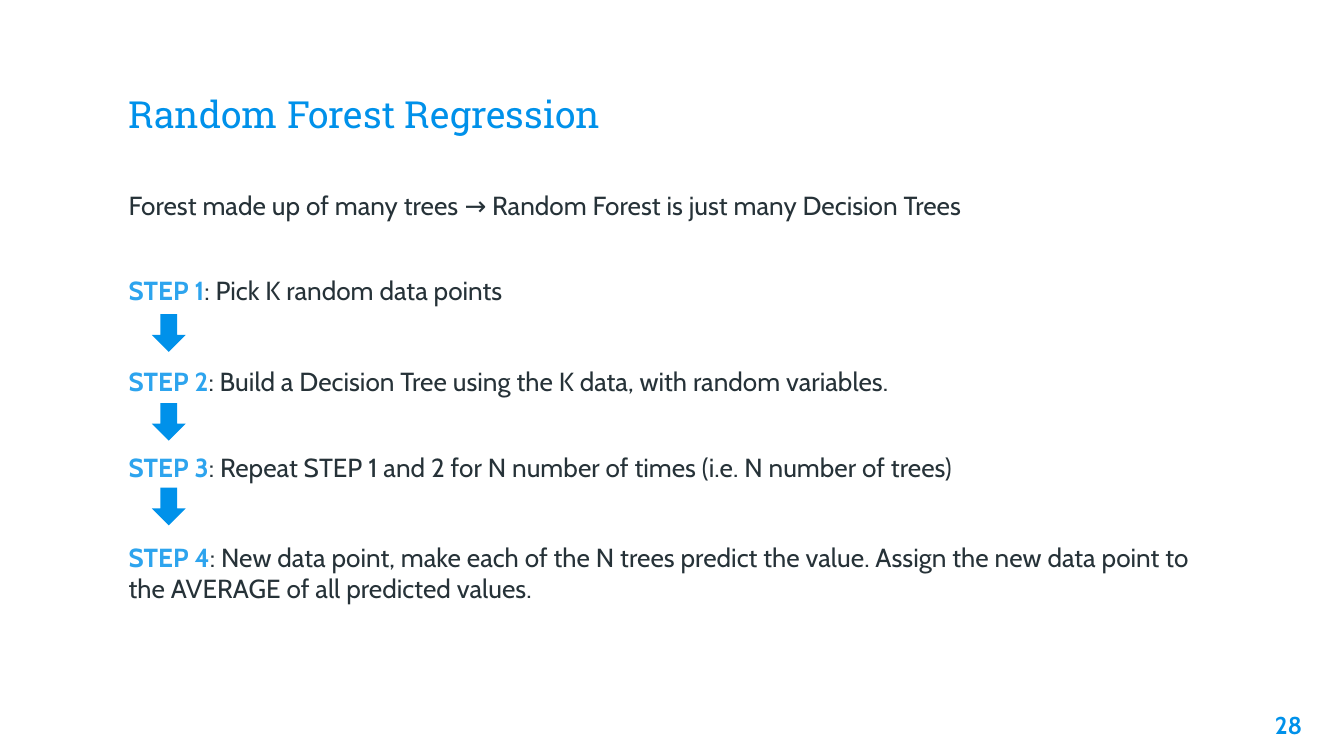
from lxml.etree import SubElement
from pptx import Presentation
from pptx.dml.color import RGBColor
from pptx.enum.shapes import MSO_SHAPE as Shape
from pptx.enum.text import MSO_ANCHOR as Anchor, MSO_AUTO_SIZE as AutoSize, PP_ALIGN as Align
from pptx.oxml.ns import qn
from pptx.util import Cm, Pt

BLUE, SKY, INK = "0091EA", "2DA4EE", "263238"
LEFT, WIDTH, ROW = 2.18, 20.75, 1.6
STEPS = [
    (4.93, "STEP 1", ": Pick K random data points"),
    (6.65, "STEP 2", ": Build a Decision Tree using the K data, with random variables."),
    (8.28, "STEP 3", ": Repeat STEP 1 and 2 for N number of times (i.e. N number of trees)"),
    (9.98, "STEP 4", ": New data point, make each of the N trees predict the value. "
                     "Assign the new data point to the AVERAGE of all predicted values."),
]
ARROW_TOPS = [5.94, 7.62, 9.22]


def rgb(value):
    """Turn a hex string into a colour."""
    return RGBColor.from_string(value)


def place(sp, box):
    """Move and size a shape to a box given in centimetres."""
    sp.left, sp.top, sp.width, sp.height = map(Cm, box)


def write(sp, runs, size, font="Cabin", align=Align.LEFT, anchor=Anchor.TOP):
    """Fill a shape with one paragraph of (text, colour, bold) runs."""
    tf = sp.text_frame
    tf.word_wrap, tf.auto_size, tf.vertical_anchor = True, AutoSize.NONE, anchor
    tf.margin_left = tf.margin_top = tf.margin_right = tf.margin_bottom = Cm(0.25)
    p = tf.paragraphs[0]
    p.alignment, p.space_before = align, Pt(0)
    for text, color, bold in runs:
        r = p.add_run()
        r.text = text
        r.font.name, r.font.size, r.font.bold = font, Pt(size), bold
        r.font.color.rgb = rgb(color)
    return p


def add_title(s, box):
    """Place the slide title."""
    sp = s.shapes.title
    place(sp, box)
    write(sp, [("Random Forest Regression", BLUE, False)], 20, "Roboto Slab", anchor=Anchor.BOTTOM)


def add_intro(s, box):
    """Place the opening sentence in the body placeholder, without a bullet."""
    sp = s.placeholders[1]
    place(sp, box)
    text = "Forest made up of many trees → Random Forest is just many Decision Trees"
    pPr = write(sp, [(text, INK, False)], 14)._p.get_or_add_pPr()
    pPr.set("marL", "0")
    pPr.set("indent", "0")
    SubElement(pPr, qn("a:buNone"))


def add_step(s, box, label, text):
    """Place one step with its highlighted label."""
    sp = s.shapes.add_textbox(*map(Cm, box))
    write(sp, [(label, SKY, True), (text, INK, False)], 14)


def add_arrow(s, box):
    """Place a down arrow between two steps."""
    sp = s.shapes.add_shape(Shape.DOWN_ARROW, *map(Cm, box))
    sp.shadow.inherit = False
    sp.fill.solid()
    sp.fill.fore_color.rgb = rgb(BLUE)
    sp.line.fill.background()


def add_page_number(s, box):
    """Place the page number in the corner."""
    sp = s.shapes.add_textbox(*map(Cm, box))
    write(sp, [("28", BLUE, True)], 13, align=Align.RIGHT)


def main():
    """Build and save the slide."""
    prs = Presentation()
    prs.slide_width, prs.slide_height = Cm(25.4), Cm(14.29)
    s = prs.slides.add_slide(prs.slide_layouts[1])
    add_title(s, (LEFT, 0.86, 21.03, 1.96))
    add_page_number(s, (23.34, 13.18, 1.52, 1.09))
    add_intro(s, (LEFT, 3.33, WIDTH, ROW))
    for top, label, text in STEPS:
        add_step(s, (LEFT, top, WIDTH, ROW), label, text)
    for top in ARROW_TOPS:
        add_arrow(s, (2.87, top, 0.64, 0.71))
    prs.save("out.pptx")


if __name__ == "__main__":
    main()
